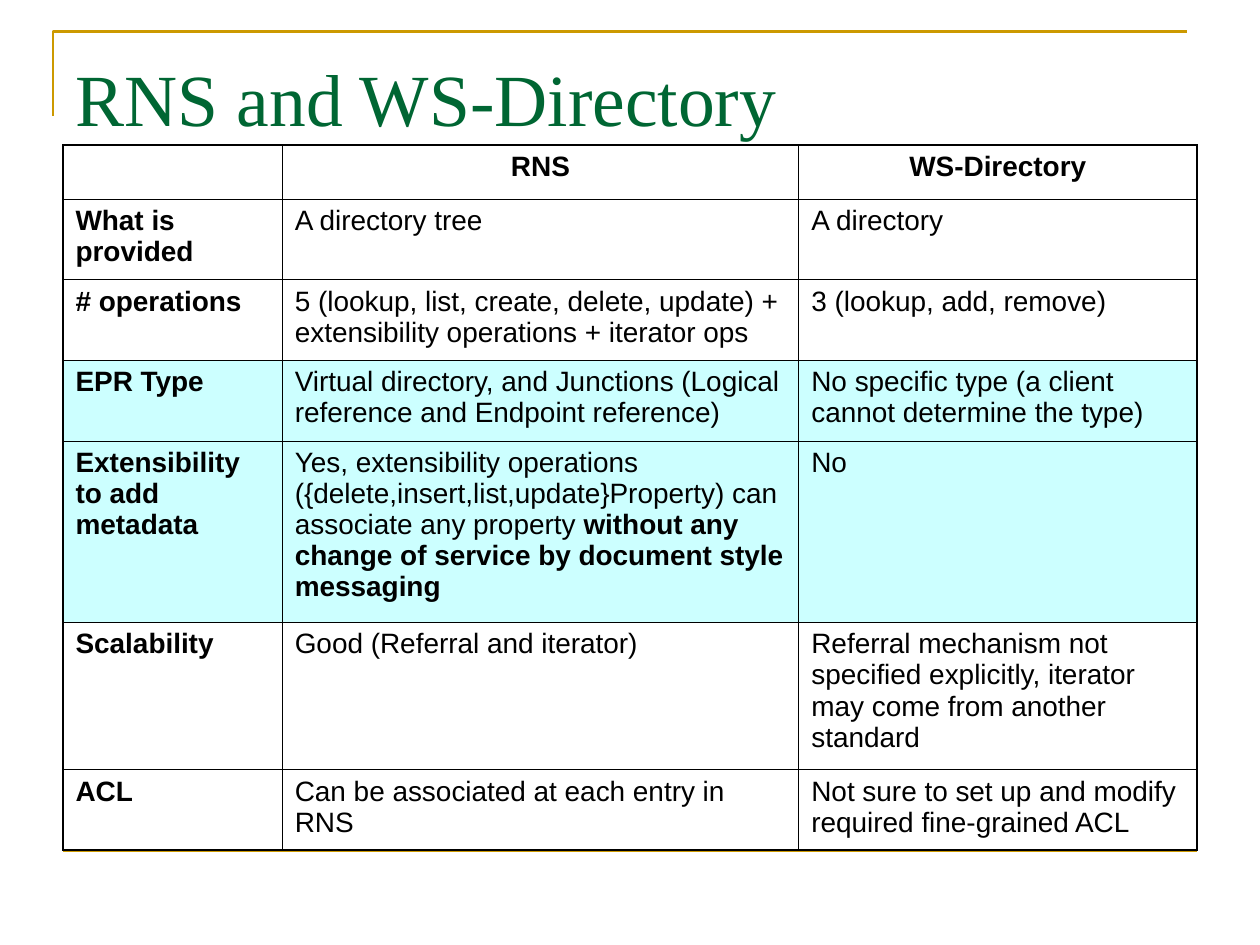
"""Build a slide that compares RNS and WS-Directory in a table."""
from pptx import Presentation
from pptx import util as u
from pptx.dml.color import RGBColor
from pptx.enum import shapes, text
from pptx.oxml.ns import qn
from lxml import etree

THEME = {
    "title_font": "Times New Roman", "title_size": 42, "title": "006633",
    "body_font": "Arial", "body_size": 16, "body": "000000",
    "rule": "CC9900", "rule_width": 1.5,
    "plain": "FFFFFF", "highlight": "CCFFFF",
    "border": "000000", "outer_width": 1.08, "inner_width": 0.45,
}
TITLE = "RNS and WS-Directory"
HEADER = ["", "RNS", "WS-Directory"]
ROWS = [
    ["What is provided", "A directory tree", "A directory"],
    ["# operations",
     "5 (lookup, list, create, delete, update) + extensibility operations + iterator ops",
     "3 (lookup, add, remove)"],
    ["EPR Type",
     "Virtual directory, and Junctions (Logical reference and Endpoint reference)",
     "No specific type (a client cannot determine the type)"],
    ["Extensibility to add metadata",
     [("Yes, extensibility operations ({delete,insert,list,update}Property) "
       "can associate any property ", False),
      ("without any change of service by document style messaging", True)],
     "Νο"],
    ["Scalability", "Good (Referral and iterator)",
     "Referral mechanism not specified explicitly, iterator may come from another standard"],
    ["ACL", "Can be associated at each entry in RNS",
     "Not sure to set up and modify required fine-grained ACL"],
]
HIGHLIGHTED_ROWS = {3, 4}
COLUMN_WIDTHS = [1.74, 4.1, 3.16]
ROW_HEIGHTS = [0.43, 0.64, 0.64, 0.64, 1.44, 1.17, 0.64]
TABLE_LEFT, TABLE_TOP = 0.5, 1.15


def add_run(paragraph, content, role, bold=False):
    run = paragraph.add_run()
    run.text = content
    run.font.name = THEME[role + "_font"]
    run.font.size = u.Pt(THEME[role + "_size"])
    run.font.color.rgb = RGBColor.from_string(THEME[role])
    run.font.bold = bold


def style_rule(shape):
    shape.line.color.rgb = RGBColor.from_string(THEME["rule"])
    shape.line.width = u.Pt(THEME["rule_width"])


def add_rules(slide):
    builder = slide.shapes.build_freeform(u.Inches(0.42), u.Inches(0.92))
    builder.add_line_segments(
        [(u.Inches(0.42), u.Inches(0.25)), (u.Inches(9.42), u.Inches(0.25))], close=False)
    corner = builder.convert_to_shape()
    corner.shadow.inherit = False
    corner.fill.background()
    style_rule(corner)
    bottom = slide.shapes.add_connector(
        shapes.MSO_CONNECTOR.STRAIGHT,
        u.Inches(0.5), u.Inches(6.75), u.Inches(9.5), u.Inches(6.75))
    style_rule(bottom)
    etree.SubElement(bottom.element.spPr, qn("a:effectLst"))


def format_title(title):
    title.left, title.top = u.Inches(0.5), u.Inches(0.3)
    title.width, title.height = u.Inches(9), u.Inches(1.25)
    frame = title.text_frame
    frame.word_wrap = True
    frame.auto_size = text.MSO_AUTO_SIZE.NONE
    frame.vertical_anchor = text.MSO_ANCHOR.TOP
    frame.margin_top = u.Inches(0.12)
    paragraph = frame.paragraphs[0]
    paragraph.alignment = text.PP_ALIGN.LEFT
    add_run(paragraph, TITLE, "title")


def set_borders(cell, outer_sides):
    properties = cell._tc.get_or_add_tcPr()
    for index, side in enumerate("LRTB"):
        width = THEME["outer_width" if side in outer_sides else "inner_width"]
        line = etree.Element(qn("a:ln" + side), w=str(u.Pt(width)))
        fill = etree.SubElement(line, qn("a:solidFill"))
        etree.SubElement(fill, qn("a:srgbClr"), val=THEME["border"])
        properties.insert(index, line)


def fill_cell(cell, content, row, column):
    cell.fill.solid()
    shade = "highlight" if row in HIGHLIGHTED_ROWS else "plain"
    cell.fill.fore_color.rgb = RGBColor.from_string(THEME[shade])
    edges = {"L": column == 0, "R": column == len(COLUMN_WIDTHS) - 1,
             "T": row == 0, "B": row == len(ROW_HEIGHTS) - 1}
    set_borders(cell, {side for side, outer in edges.items() if outer})
    paragraph = cell.text_frame.paragraphs[0]
    paragraph.alignment = text.PP_ALIGN.CENTER if row == 0 else text.PP_ALIGN.LEFT
    if isinstance(content, str):
        content = [(content, row == 0 or column == 0)] if content else []
    for words, bold in content:
        add_run(paragraph, words, "body", bold)


def add_comparison(slide):
    table = slide.shapes.add_table(
        len(ROW_HEIGHTS), len(COLUMN_WIDTHS), u.Inches(TABLE_LEFT), u.Inches(TABLE_TOP),
        u.Inches(sum(COLUMN_WIDTHS)), u.Inches(sum(ROW_HEIGHTS))).table
    for column, width in zip(table.columns, COLUMN_WIDTHS):
        column.width = u.Inches(width)
    for row, height in zip(table.rows, ROW_HEIGHTS):
        row.height = u.Inches(height)
    for row, contents in enumerate([HEADER, *ROWS]):
        for column, content in enumerate(contents):
            fill_cell(table.cell(row, column), content, row, column)


def main():
    presentation = Presentation()
    presentation.slide_width, presentation.slide_height = u.Inches(10), u.Inches(7.5)
    slide = presentation.slides.add_slide(presentation.slide_layouts.get_by_name("Title Only"))
    add_rules(slide)
    format_title(slide.shapes.title)
    add_comparison(slide)
    presentation.save("out.pptx")


if __name__ == "__main__":
    main()
